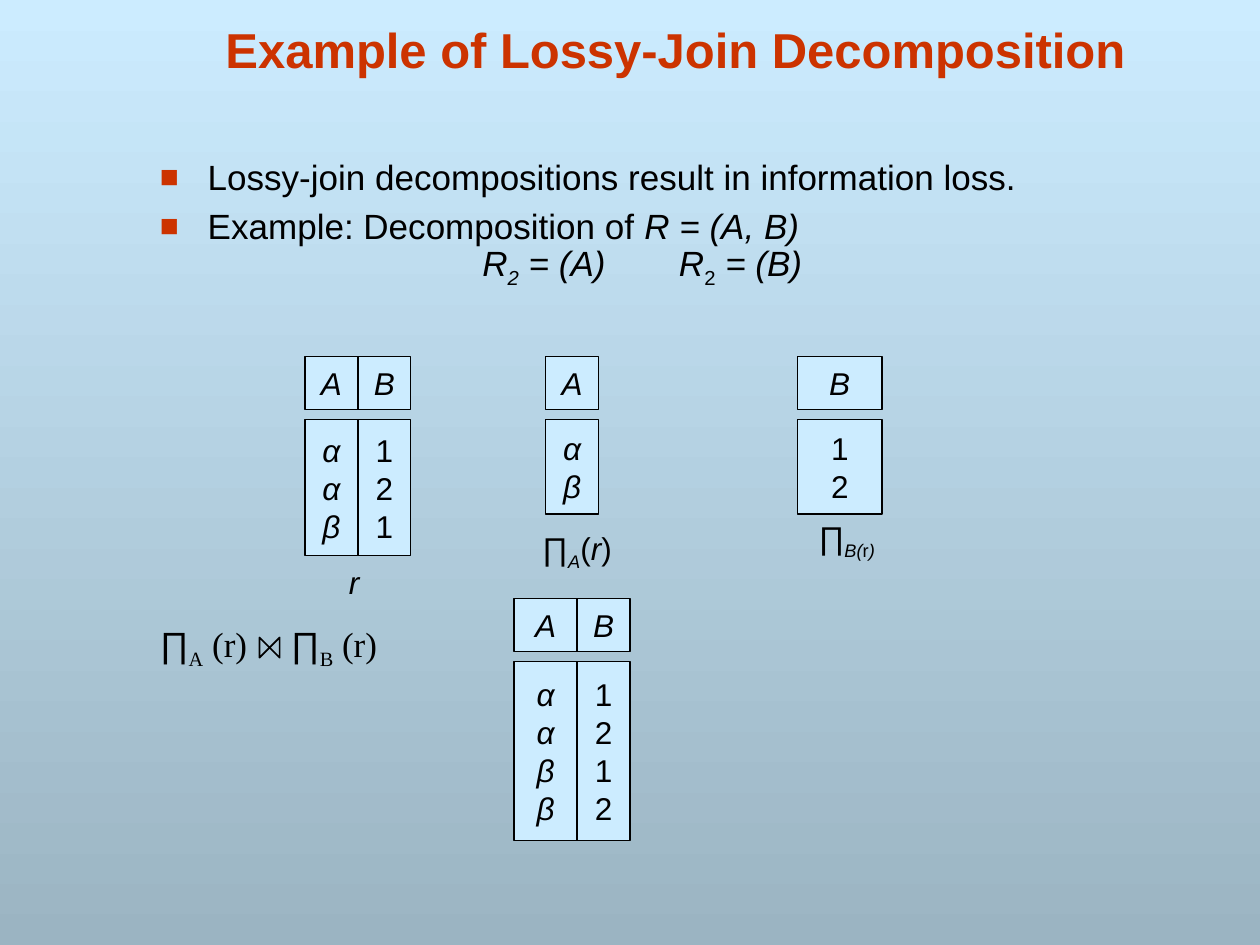
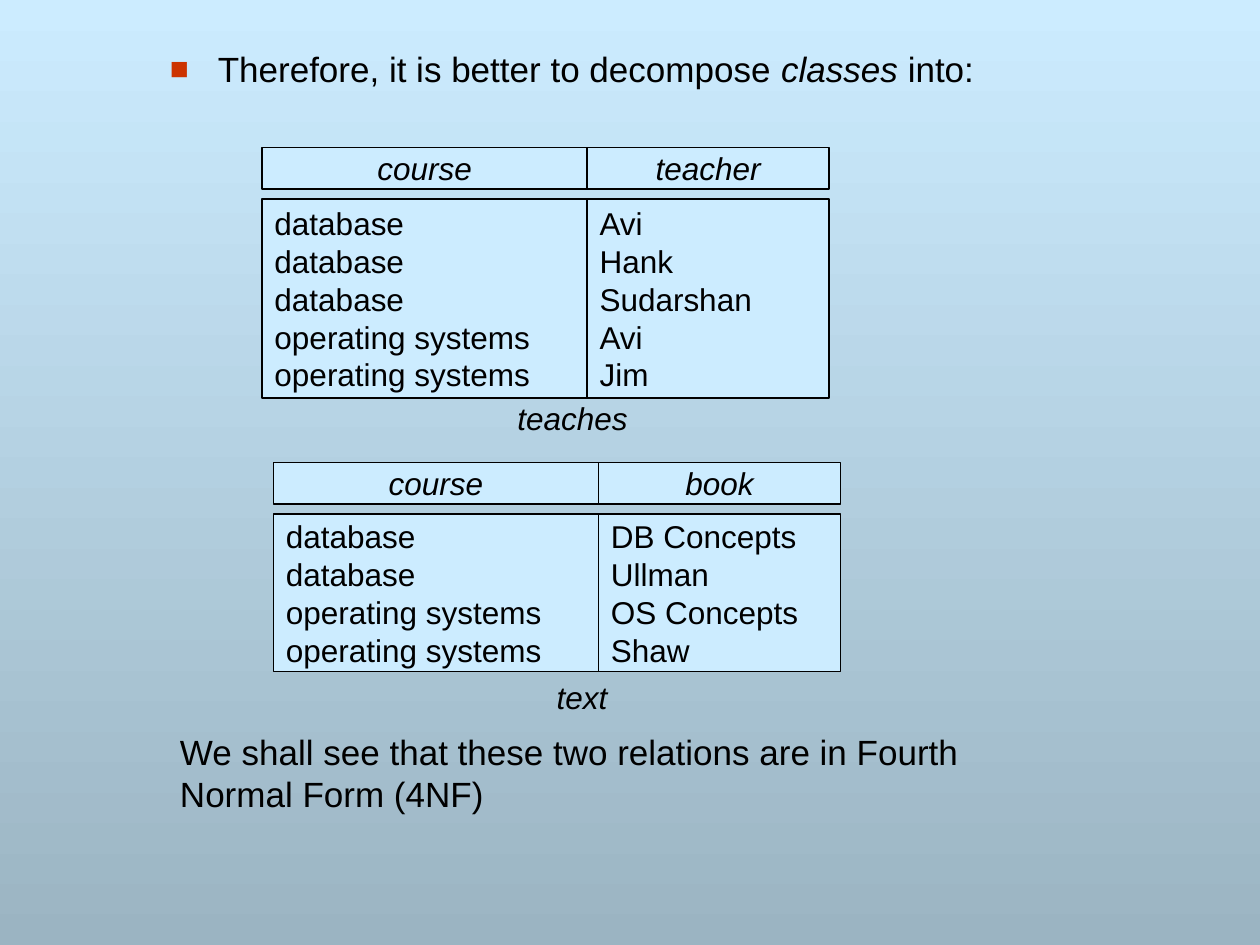
from lxml.etree import SubElement
from pptx import Presentation
from pptx.dml.color import RGBColor
from pptx.enum.shapes import MSO_SHAPE
from pptx.enum.text import MSO_ANCHOR, MSO_AUTO_SIZE, PP_ALIGN
from pptx.oxml.ns import qn
from pptx.util import Inches, Pt

SKY = RGBColor(0xCC, 0xEC, 0xFF)
SLATE = RGBColor(0x9B, 0xB4, 0xC2)
RUST = RGBColor(0xCC, 0x33, 0x00)
BLACK = RGBColor(0x00, 0x00, 0x00)

PLAIN = {"name": "Arial"}
ITALIC = {"italic": True}
SUB = {"subscript": True}
ITALIC_SUB = ITALIC | SUB
SERIF = {"name": "Times New Roman"}
SERIF_SUB = SERIF | SUB

BODY_SIZE = Pt(20)
CELL_SIZE = Pt(18)
HEADER_GAP = 0.08


def set_values(target, values):
    for key, value in values.items():
        setattr(target, key, value)


def paint_background(deck):
    fill = deck.slide_master.background.fill
    fill.gradient()
    fill.gradient_angle = 270
    for stop, position, color in zip(fill.gradient_stops, (0, 1), (SKY, SLATE)):
        stop.position = position
        stop.color.rgb = color


def add_runs(paragraph, parts, size, color=BLACK):
    for text, style in parts:
        if text == "\n":
            paragraph.add_line_break()
            continue
        run = paragraph.add_run()
        run.text = text
        values = PLAIN | {"size": size} | style
        subscript = values.pop("subscript", False)
        set_values(run.font, values)
        run.font.color.rgb = color
        if subscript:
            run.font._element.set("baseline", "-25000")


def add_tabs(paragraph, stops):
    tab_list = SubElement(paragraph._p.get_or_add_pPr(), qn("a:tabLst"))
    for stop in stops:
        SubElement(tab_list, qn("a:tab"), pos=str(Inches(stop)), algn="l")


def add_bullet(paragraph):
    properties = paragraph._p.get_or_add_pPr()
    properties.set("marL", str(Inches(0.38)))
    properties.set("indent", str(Inches(-0.38)))
    color = SubElement(properties, qn("a:buClr"))
    SubElement(color, qn("a:srgbClr"), val=str(RUST))
    SubElement(properties, qn("a:buSzPct"), val="90000")
    SubElement(properties, qn("a:buFont"), typeface="Arial")
    SubElement(properties, qn("a:buChar"), char="■")


def add_text(slide, left, top, width, height, **frame_values):
    box = slide.shapes.add_textbox(
        Inches(left), Inches(top), Inches(width), Inches(height))
    set_values(box.text_frame, {"word_wrap": True} | frame_values)
    return box.text_frame


def add_title(slide, text):
    frame = add_text(slide, 0.72, 0.17, 9.28, 0.5, vertical_anchor=MSO_ANCHOR.BOTTOM)
    title = frame.paragraphs[0]
    title.alignment = PP_ALIGN.CENTER
    add_runs(title, [(text, {"bold": True})], Pt(28), RUST)


def add_bullets(slide, left, top, height, items, line_spacing=None, tabs=()):
    frame = add_text(slide, left, top, 7.35, height)
    for index, parts in enumerate(items):
        item = frame.add_paragraph() if index else frame.paragraphs[0]
        set_values(item, {"line_spacing": line_spacing, "space_before": Pt(8.8)})
        add_bullet(item)
        if tabs:
            add_tabs(item, tabs)
        add_runs(item, parts, BODY_SIZE)


def add_caption(slide, left, top, width, height, parts):
    frame = add_text(slide, left, top, width, height, word_wrap=False,
                     auto_size=MSO_AUTO_SIZE.SHAPE_TO_FIT_TEXT,
                     vertical_anchor=MSO_ANCHOR.MIDDLE)
    caption = frame.paragraphs[0]
    set_values(caption, {"alignment": PP_ALIGN.CENTER, "space_before": Pt(11.2)})
    add_runs(caption, parts, CELL_SIZE)


def add_cell(slide, left, top, width, height, rows, style, alignment):
    cell = slide.shapes.add_shape(
        MSO_SHAPE.RECTANGLE, Inches(left), Inches(top), Inches(width), Inches(height))
    cell.shadow.inherit = False
    cell.fill.solid()
    cell.fill.fore_color.rgb = SKY
    cell.line.color.rgb = BLACK
    cell.line.width = Pt(0.75)
    frame = cell.text_frame
    set_values(frame, {"word_wrap": False, "vertical_anchor": MSO_ANCHOR.MIDDLE})
    for index, text in enumerate(rows):
        row = frame.add_paragraph() if index else frame.paragraphs[0]
        row.alignment = alignment
        add_runs(row, [(text, style)], CELL_SIZE)


def add_relation(slide, left, top, header_height, body_height, columns,
                 alignment=PP_ALIGN.CENTER):
    body_top = top + header_height + HEADER_GAP
    for width, header, rows, style in columns:
        add_cell(slide, left, top, width, header_height, [header], ITALIC,
                 PP_ALIGN.CENTER)
        add_cell(slide, left, body_top, width, body_height, rows, style, alignment)
        left += width


def add_join_symbol(slide, left, top, side):
    right, bottom = left + side, top + side
    corners = [(left, bottom), (right, top), (right, bottom), (left, top)]
    builder = slide.shapes.build_freeform(Inches(left), Inches(top))
    builder.add_line_segments([(Inches(x), Inches(y)) for x, y in corners])
    symbol = builder.convert_to_shape()
    symbol.shadow.inherit = False
    symbol.fill.background()
    symbol.line.color.rgb = BLACK
    symbol.line.width = Pt(1)


def add_join_expression(slide):
    frame = add_text(slide, 1.17, 4.89, 2.75, 0.95)
    expression = frame.paragraphs[0]
    expression.space_before = Pt(8.8)
    add_tabs(expression, [1.04])
    add_runs(expression, [
        ("∏", PLAIN), ("A", SERIF_SUB), (" (r)\t", SERIF),
        ("∏", PLAIN), ("B", SERIF_SUB), (" (r)", SERIF)], BODY_SIZE)
    add_join_symbol(slide, 2.06, 5.06, 0.16)


def build_lossy_join(slide):
    add_title(slide, "Example of Lossy-Join Decomposition")
    add_bullets(slide, 1.17, 1.25, 1.15, [
        [("Lossy-join decompositions result in information loss.", PLAIN)],
        [("Example: Decomposition of ", PLAIN), ("R = (A, B)", ITALIC), ("\n", PLAIN),
         ("\tR", ITALIC), ("2", ITALIC_SUB), (" = (A)\tR", ITALIC),
         ("2", SUB), (" = (B)", ITALIC)],
    ], line_spacing=0.8, tabs=[2.56, 4.12])

    add_relation(slide, 2.42, 2.83, 0.42, 1.08,
                 [(0.42, "A", "ααβ", ITALIC), (0.42, "B", "121", PLAIN)])
    add_relation(slide, 4.33, 2.83, 0.42, 0.75, [(0.42, "A", "αβ", ITALIC)])
    add_relation(slide, 6.33, 2.83, 0.42, 0.75, [(0.67, "B", "12", PLAIN)])
    add_relation(slide, 4.08, 4.75, 0.42, 1.42,
                 [(0.5, "A", "ααββ", ITALIC), (0.42, "B", "1212", PLAIN)])

    add_caption(slide, 2.67, 4.42, 0.28, 0.4, [("r", ITALIC)])
    add_caption(slide, 4.2, 4.15, 0.76, 0.44, [
        ("∏", PLAIN), ("A", ITALIC_SUB), ("(", PLAIN), ("r", ITALIC), (")", PLAIN)])
    add_caption(slide, 6.39, 4.06, 0.66, 0.44, [
        ("∏", PLAIN), ("B(", ITALIC_SUB), ("r", SUB), (")", ITALIC_SUB)])
    add_join_expression(slide)


def build_better_decomposition(slide):
    add_bullets(slide, 1.25, 0.33, 0.58, [
        [("Therefore, it is better to decompose ", PLAIN),
         ("classes ", ITALIC), ("into:", PLAIN)]])

    database, systems = ["database"], ["operating systems"]
    teachers = ["Avi", "Hank", "Sudarshan", "Avi", "Jim"]
    books = ["DB Concepts", "Ullman", "OS Concepts", "Shaw"]
    add_relation(slide, 2.08, 1.17, 0.33, 1.58, [
        (2.58, "course", database * 3 + systems * 2, PLAIN),
        (1.92, "teacher", teachers, PLAIN)], PP_ALIGN.LEFT)
    add_caption(slide, 3.98, 3.12, 1.13, 0.4, [("teaches", ITALIC)])
    add_relation(slide, 2.17, 3.67, 0.33, 1.25, [
        (2.58, "course", database * 2 + systems * 2, PLAIN),
        (1.92, "book", books, PLAIN)], PP_ALIGN.LEFT)
    add_caption(slide, 4.29, 5.33, 0.66, 0.4, [("text", ITALIC)])

    conclusion = add_text(slide, 1.33, 5.75, 7.35, 0.58)
    add_runs(conclusion.paragraphs[0], [
        ("We shall see that these two relations are in Fourth Normal Form (4NF)",
         PLAIN)], BODY_SIZE)


def main():
    deck = Presentation()
    deck.slide_width, deck.slide_height = Inches(10), Inches(7.5)
    paint_background(deck)
    blank = deck.slide_layouts[6]
    for build in (build_lossy_join, build_better_decomposition):
        build(deck.slides.add_slide(blank))
    deck.save("out.pptx")


if __name__ == "__main__":
    main()
